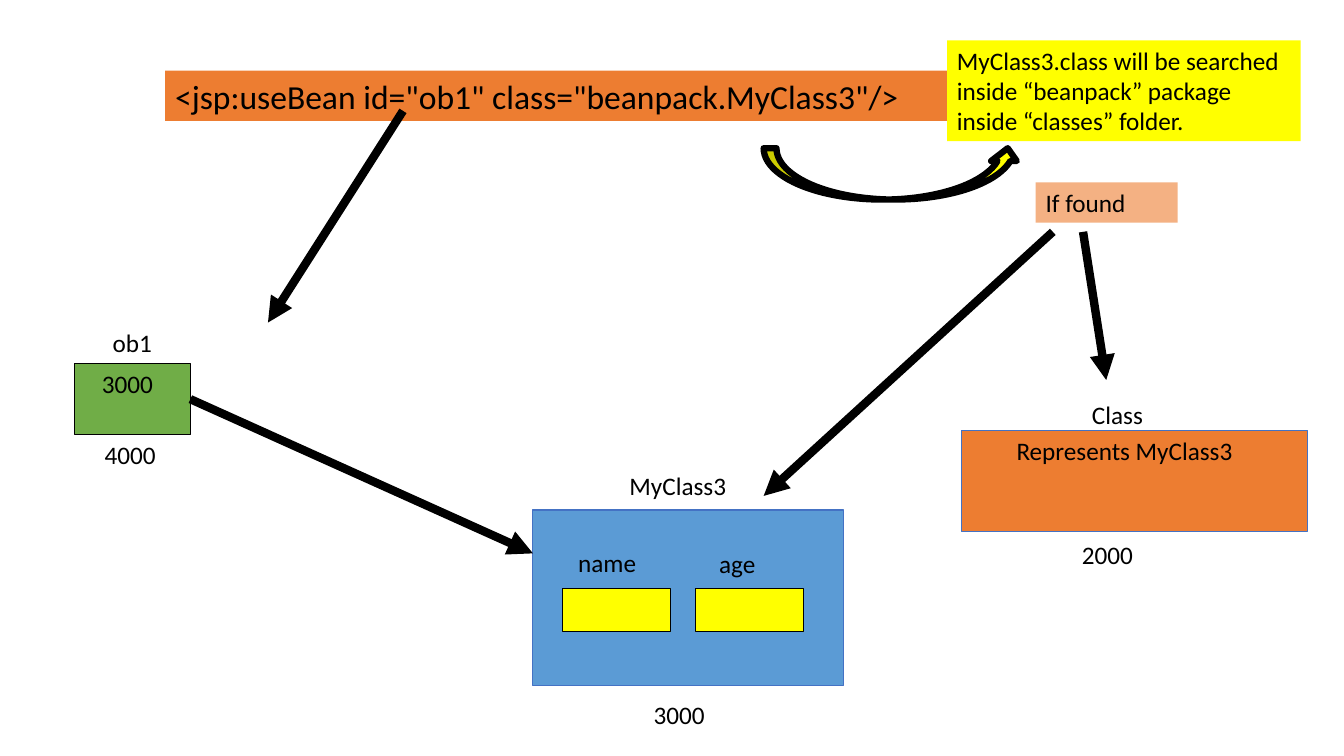
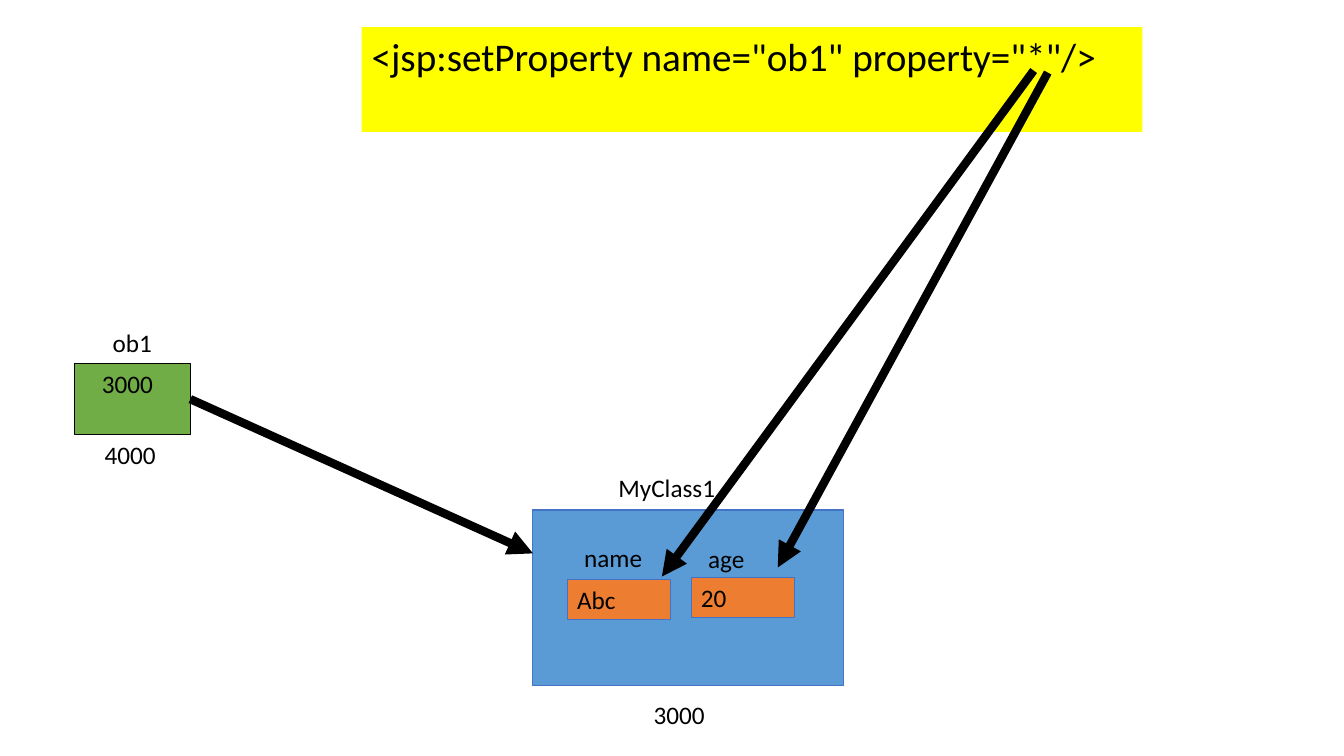
from lxml.etree import SubElement
from pptx import Presentation
from pptx.dml.color import RGBColor
from pptx.enum.shapes import MSO_CONNECTOR, MSO_SHAPE
from pptx.enum.text import MSO_ANCHOR, PP_ALIGN
from pptx.oxml.ns import qn
from pptx.util import Pt

PX = 9144  # 100 px to the inch
FONT = "Calibri"
BLACK = RGBColor(0x00, 0x00, 0x00)
ORANGE = RGBColor(0xED, 0x7D, 0x31)
PEACH = RGBColor(0xF4, 0xB1, 0x83)
YELLOW = RGBColor(0xFF, 0xFF, 0x00)
GREEN = RGBColor(0x70, 0xAD, 0x47)
SKY = RGBColor(0x5B, 0x9B, 0xD5)
BLUE = RGBColor(0x44, 0x72, 0xC4)

# Boxes: text, (left, top, width, height), fill, edge, then size and indent.
# Labels: text, (left, top, width). Arrows: start, end.
SHARED = {
    "boxes": [
        ("", (529, 506, 308, 174), SKY, BLUE),
        ("3000", (74, 361, 115, 70), GREEN, BLACK, 18, 17),
    ],
    "labels": [
        ("ob1", (102, 320, 59)),
        ("4000", (94, 431, 95)),
        ("3000", (639, 689, 95)),
    ],
    "arrows": [((189, 396), (529, 549))],
}
USE_BEAN = {
    "boxes": [
        ('<jsp:useBean id="ob1" class="beanpack.MyClass3"/>',
         (164, 70, 776, 50), ORANGE, None, 24),
        ("MyClass3.class will be searched inside “beanpack” package "
         "inside “classes” folder.", (940, 40, 351, 100), YELLOW, None),
        ("If found", (1028, 181, 141, 40), PEACH, None),
        ("Represents MyClass3", (954, 427, 344, 100), ORANGE, BLUE, 18, 45),
        ("", (558, 584, 108, 43), YELLOW, BLACK),
        ("", (690, 584, 108, 43), YELLOW, BLACK),
    ],
    "labels": [
        ("Class", (1074, 391, 83)),
        ("2000", (1064, 530, 95)),
        ("MyClass3", (615, 462, 143)),
        ("name", (564, 538, 80)),
        ("age", (704, 539, 80)),
    ],
    "arrows": [
        ((1075, 230), (1098, 377)),
        ((1045, 230), (758, 492)),
        ((400, 110), (266, 320)),
    ],
    "curves": [(758, 147, 255, 51)],
}
SET_PROP = {
    "boxes": [
        ("Abc", (563, 575, 103, 40), ORANGE, BLUE),
        ("20", (686, 573, 103, 40), ORANGE, BLUE),
        ('<jsp:setProperty name="ob1" property="*"/>',
         (359, 27, 775, 104), YELLOW, None, 28),
    ],
    "labels": [
        ("MyClass1", (604, 464, 143)),
        ("name", (570, 533, 86)),
        ("age", (693, 534, 75)),
    ],
    "arrows": [((1040, 72), (772, 563)), ((1026, 70), (657, 572))],
}


def scale(nums):
    return [n * PX for n in nums]


def write(shape, text, size=18, indent=0):
    frame = shape.text_frame
    frame.word_wrap = True
    frame.vertical_anchor = MSO_ANCHOR.TOP
    frame.margin_left = (10 + indent) * PX
    frame.margin_right = 10 * PX
    frame.margin_top = frame.margin_bottom = 5 * PX
    para = frame.paragraphs[0]
    para.alignment = PP_ALIGN.LEFT
    run = para.add_run()
    run.text = text
    run.font.name = FONT
    run.font.size = Pt(size)
    run.font.color.rgb = BLACK


def paint(slide, kind, place, fill, edge, width=0.75):
    """Add a flat preset shape; with no edge colour it has no outline."""
    shape = slide.shapes.add_shape(kind, *scale(place))
    shape.shadow.inherit = False
    shape.fill.solid()
    shape.fill.fore_color.rgb = fill
    if edge is None:
        shape.line.fill.background()
    else:
        shape.line.color.rgb = edge
        shape.line.width = Pt(width)
    return shape


def arrow(slide, start, end):
    line = slide.shapes.add_connector(
        MSO_CONNECTOR.STRAIGHT, *scale(start + end))
    line.line.color.rgb = BLACK
    line.line.width = Pt(6)
    SubElement(line.line._get_or_add_ln(), qn("a:tailEnd"), type="triangle")
    SubElement(line._element.spPr, qn("a:effectLst"))


def draw(slide, parts):
    for text, place, fill, edge, *style in parts["boxes"]:
        shape = paint(slide, MSO_SHAPE.RECTANGLE, place, fill, edge)
        if text:
            write(shape, text, *style)
    for text, place in parts["labels"]:
        write(slide.shapes.add_textbox(*scale(place + (40,))), text)
    for start, end in parts["arrows"]:
        arrow(slide, start, end)
    for place in parts.get("curves", []):
        paint(slide, MSO_SHAPE.CURVED_UP_ARROW, place, YELLOW, BLACK, 4.5)


def main():
    deck = Presentation()
    deck.slide_width, deck.slide_height = scale((1334, 750))
    for parts in (USE_BEAN, SET_PROP):
        slide = deck.slides.add_slide(deck.slide_layouts[6])
        draw(slide, SHARED)
        draw(slide, parts)
    deck.save("out.pptx")


if __name__ == "__main__":
    main()
